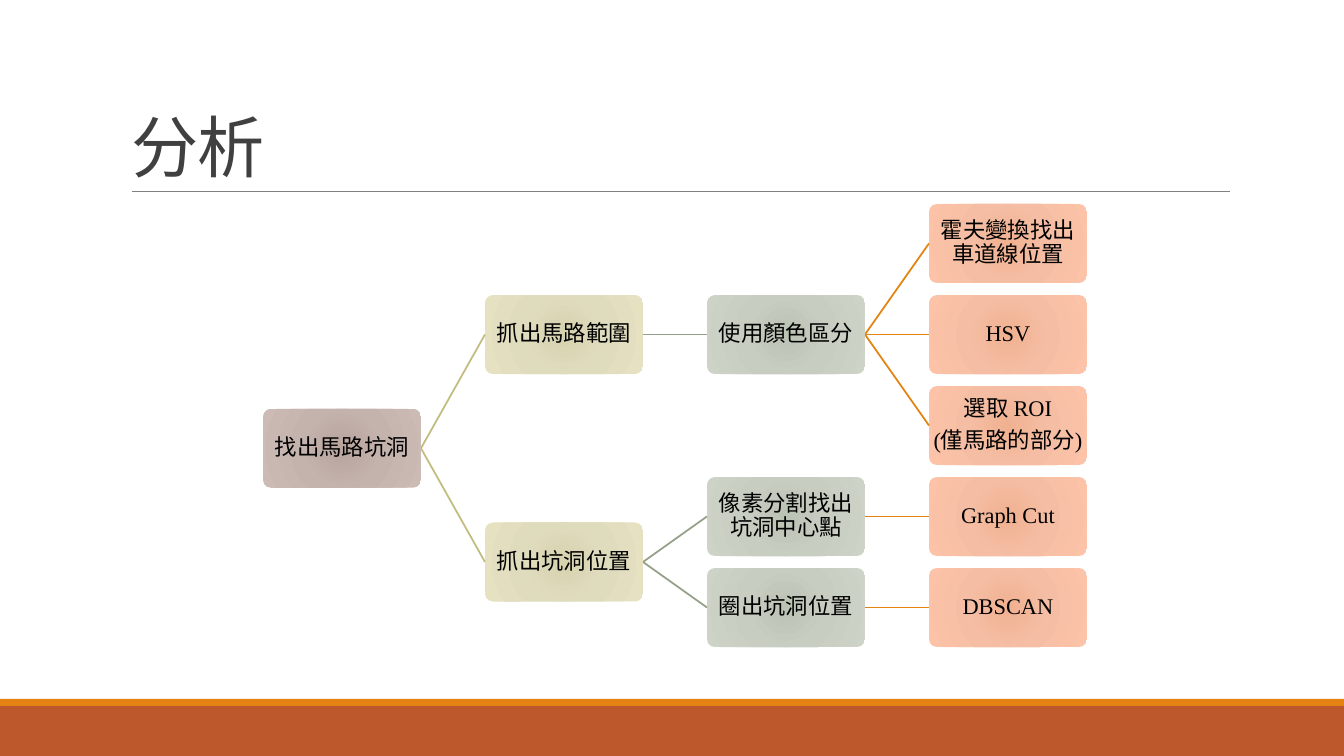
from pptx import Presentation
from pptx.dml.color import RGBColor
from pptx.enum.shapes import MSO_CONNECTOR, MSO_SHAPE
from pptx.enum.text import MSO_ANCHOR, MSO_AUTO_SIZE, PP_ALIGN
from pptx.oxml import parse_xml
from pptx.oxml.ns import nsdecls, qn
from pptx.util import Pt

SCALE = 914400 / 100.8
CJK = "Noto Sans CJK SC"
NODE_W, NODE_H = 158, 79
COL_STEP, ROW_STEP = 222, 91

LEVELS = [
    {"stops": ("B9A49E", "C4B2AD", "CCBAB5"), "link": None},
    {"stops": ("D7D3AF", "DFDBBD", "E5E1C1"), "link": "C2BC80"},
    {"stops": ("BBC3B5", "C7CDC1", "CDD4C7"), "link": "94A088"},
    {"stops": ("F0B191", "F5BEA4", "FDC3A8"), "link": "E48312"},
]

TREE = ("找出馬路坑洞", [
    ("抓出馬路範圍", [
        ("使用顏色區分", [
            ("霍夫變換找出車道線位置", []),
            ("HSV", []),
            ("選取 ROI\n(僅馬路的部分)", []),
        ]),
    ]),
    ("抓出坑洞位置", [
        ("像素分割找出坑洞中心點", [("Graph Cut", [])]),
        ("圈出坑洞位置", [("DBSCAN", [])]),
    ]),
])


def px(size):
    """Turn pixels into EMU."""
    return round(size * SCALE)


def color(code):
    """Turn a hex string into a colour."""
    return RGBColor.from_string(code)


def apply(item, values):
    """Set each named value on the item."""
    for name, value in values.items():
        setattr(item, name, value)


def place(item, box):
    """Move and size the item to a pixel box."""
    apply(item, dict(zip(("left", "top", "width", "height"), map(px, box))))


def write(frame, text, para, font, ink):
    """Fill a text frame, one paragraph for each line of text."""
    frame.text = text
    for line in frame.paragraphs:
        apply(line, para)
        for run in line.runs:
            apply(run.font, font)
            run.font.color.rgb = color(ink)
            run.font._element.append(
                parse_xml(f'<a:ea {nsdecls("a")} typeface="{CJK}"/>'))


def add_link(slide, start, end, ink, width):
    """Draw a straight line between two pixel points."""
    link = slide.shapes.add_connector(
        MSO_CONNECTOR.STRAIGHT, *map(px, (*start, *end)))
    link.line.color.rgb = color(ink)
    link.line.width = Pt(width)
    link._element.spPr.append(parse_xml(f'<a:effectLst {nsdecls("a")}/>'))


def add_box(slide, kind, box):
    """Add a shape with no line and no shadow."""
    shape = slide.shapes.add_shape(kind, *map(px, box))
    shape.shadow.inherit = False
    shape.line.fill.background()
    return shape


def add_bands(slide, box):
    """Draw the footer band with its thin strip on top."""
    left, top, width, height = box
    strip = 7
    for ink, y, tall in (("BD582C", top + strip, height - strip),
                         ("E48312", top, strip)):
        band = add_box(slide, MSO_SHAPE.RECTANGLE, (left, y, width, tall))
        band.fill.solid()
        band.fill.fore_color.rgb = color(ink)


def add_title(slide, box, text):
    """Format the title and draw the rule under it."""
    left, top, width, height = box
    title = slide.shapes.title
    place(title, box)
    frame = title.text_frame
    apply(frame, {"vertical_anchor": MSO_ANCHOR.BOTTOM, "word_wrap": True,
                  "auto_size": MSO_AUTO_SIZE.NONE})
    write(frame, text, {"alignment": PP_ALIGN.LEFT, "line_spacing": 0.85},
          {"size": Pt(48), "name": CJK}, "404040")
    frame.paragraphs[0].runs[0].font._element.set("spc", "-50")
    base = top + height
    add_link(slide, (left + 11, base), (left + width + 0, base), "808080", 0.5)


def add_node(slide, box, text, stops):
    """Draw one rounded node with a radial gradient and its label."""
    node = add_box(slide, MSO_SHAPE.ROUNDED_RECTANGLE, box)
    node.adjustments[0] = 0.1
    marks = "".join(
        f'<a:gs pos="{pos}000"><a:srgbClr val="{code}"/></a:gs>'
        for pos, code in zip((0, 45, 100), stops))
    edges = " ".join(f'{side}="100000"' for side in "ltrb")
    node._element.spPr.find(qn("a:prstGeom")).addnext(parse_xml(
        f'<a:gradFill {nsdecls("a")}><a:gsLst>{marks}</a:gsLst>'
        f'<a:path path="circle"><a:fillToRect {edges}/></a:path></a:gradFill>'))
    frame = node.text_frame
    apply(frame, {f"margin_{side}": px(1)
                  for side in ("left", "top", "right", "bottom")})
    apply(frame, {"vertical_anchor": MSO_ANCHOR.MIDDLE, "word_wrap": True})
    write(frame, text,
          {"alignment": PP_ALIGN.CENTER, "line_spacing": 0.9,
           "space_after": Pt(5.6)},
          {"size": Pt(16), "name": "Times New Roman"}, "000000")
    frame.paragraphs[-1].space_after = Pt(0)


def add_tree(slide, origin, tree, depth=0, row=0):
    """Draw a branch; return its centre height and the next free row."""
    text, kids = tree
    left, top = origin
    x = left + depth * COL_STEP
    mids = []
    for kid in kids:
        mid, row = add_tree(slide, origin, kid, depth + 1, row)
        mids.append(mid)
    if kids:
        y = (mids[0] + mids[-1]) / 2
    else:
        y = top + row * ROW_STEP + NODE_H / 2
        row += 1
    for mid in mids:
        add_link(slide, (x + NODE_W, y), (x + COL_STEP, mid),
                 LEVELS[depth + 1]["link"], 1.25)
    add_node(slide, (x, y - NODE_H / 2, NODE_W, NODE_H), text,
             LEVELS[depth]["stops"])
    return y, row


def main():
    """Build the slide and save it."""
    deck = Presentation()
    apply(deck, {"slide_width": px(1344), "slide_height": px(756)})
    slide = deck.slides.add_slide(deck.slide_layouts[5])
    add_bands(slide, (0, 699, 1344, 57))
    add_title(slide, (121, 31, 1109, 160), "分析")
    add_tree(slide, (263, 204), TREE)
    deck.save("out.pptx")


main()
